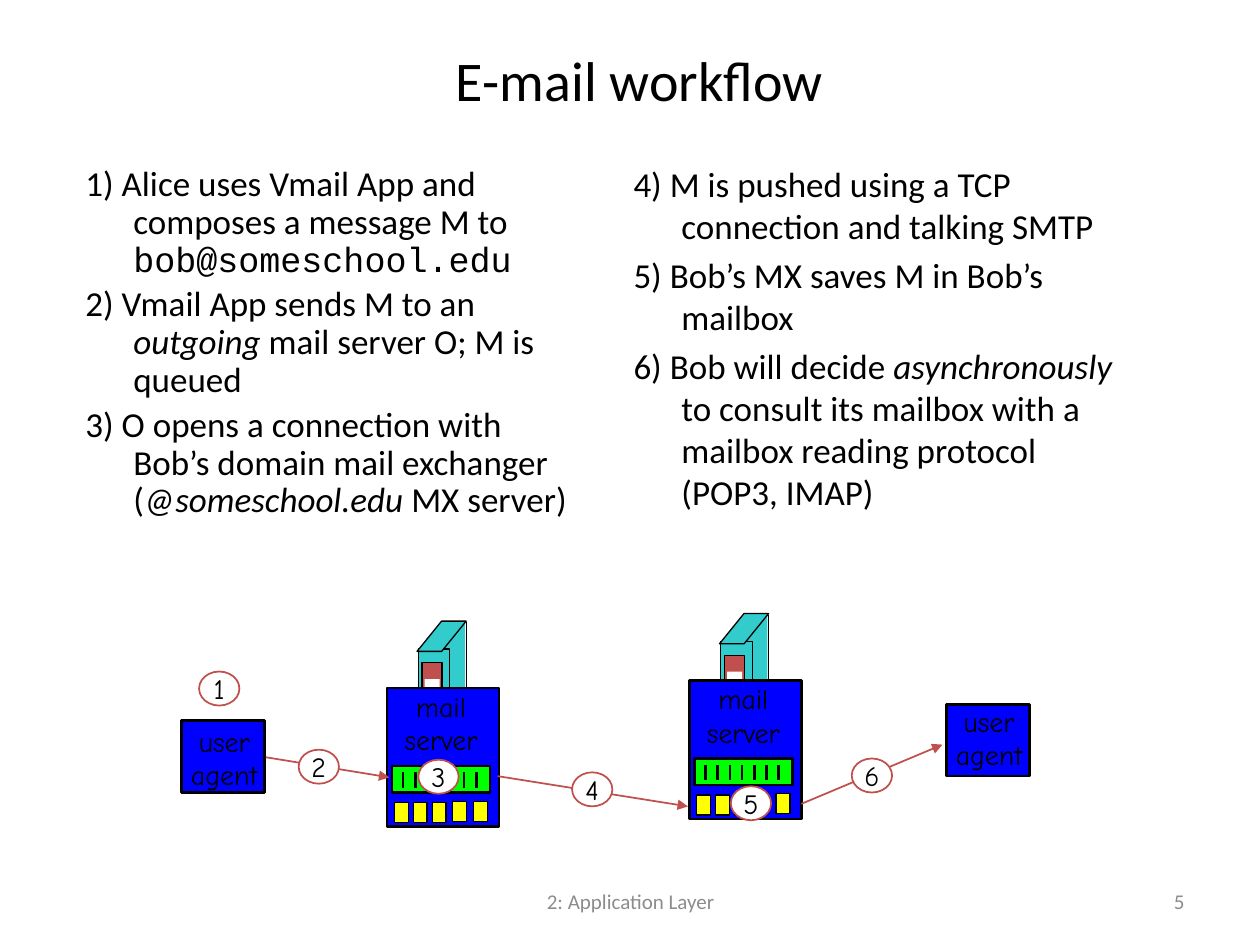
from lxml.etree import SubElement
from pptx import Presentation
from pptx.dml.color import RGBColor
from pptx.enum.shapes import MSO_CONNECTOR, MSO_SHAPE
from pptx.enum.text import MSO_ANCHOR, MSO_AUTO_SIZE, PP_ALIGN
from pptx.oxml.ns import qn
from pptx.util import Inches, Pt

THEME = {
    "black": "000000", "white": "FFFFFF", "grey": "8C8C8C", "blue": "0000FF",
    "teal": "33CCCC", "red": "C0504D", "green": "00FF00", "yellow": "FFFF00",
    "font": "Calibri", "code": "Courier New", "label": "Comic Neue",
    "title_size": 32, "body_size": 20, "label_size": 16, "footer_size": 12,
    "thin": 0.75, "arrow": 1, "thick": 1.5,
}

TITLE = "E-mail workflow"
# Each step is a list of (text, style) runs.
COLUMNS = [
    ((0.58, 1.27, 4.17, 3.52), 0.9, [
        [("1) Alice uses Vmail App and composes a message M to ", ""),
         ("bob@someschool.edu", "code")],
        [("2) Vmail App sends M to an ", ""), ("outgoing", "italic"),
         (" mail server O; M is queued", "")],
        [("3) O opens a connection with Bob’s domain mail exchanger (", ""),
         ("@someschool.edu ", "italic"), ("MX server)", "")],
    ]),
    ((4.93, 1.24, 4.17, 3.57), 1.0, [
        [("4) M is pushed using a TCP connection and talking SMTP", "")],
        [("5) Bob’s MX saves M in Bob’s mailbox", "")],
        [("6) Bob will decide ", ""), ("asynchronously ", "italic"),
         ("to consult its mailbox with a mailbox reading protocol (POP3, IMAP)", "")],
    ]),
]
FOOTERS = [
    ("2: Application Layer", (3.42, 6.95, 3.17, 0.4), PP_ALIGN.CENTER),
    ("5", (7.17, 6.95, 2.33, 0.4), PP_ALIGN.RIGHT),
]
# Agents: box corner, then the top of the label.
AGENTS = [((7.51, 5.59), 5.54), ((1.44, 5.72), 5.7)]
SERVERS = {"outgoing": (3.07, 5.46), "exchanger": (5.47, 5.4)}
BADGES = {"1": (1.58, 5.33), "2": (2.37, 5.95), "3": (3.32, 6.03),
          "4": (4.54, 6.13), "5": (5.8, 6.24), "6": (6.76, 6.02)}
HOPS = {"2": ((2.11, 6.01), (3.09, 6.17)),
        "4": ((3.95, 6.16), (5.46, 6.4)),
        "6": ((6.36, 6.38), (7.48, 5.91))}

# Server parts, relative to the corner of the blue cabinet.
TOWER = [
    (MSO_SHAPE.RECTANGLE, (0.44, -0.53, 0.18, 0.78), "teal", None),
    (MSO_SHAPE.RECTANGLE, (0.25, -0.31, 0.25, 0.78), "teal", "thin"),
    (MSO_SHAPE.PARALLELOGRAM, (0.24, -0.53, 0.39, 0.24), "teal", "thin"),
]
DOOR = [
    (MSO_SHAPE.RECTANGLE, (0.28, -0.2, 0.16, 0.45), "red", "thin"),
    (MSO_SHAPE.RECTANGLE, (0.3, -0.07, 0.12, 0.16), "white", None),
    (MSO_SHAPE.RECTANGLE, (0, 0, 0.89, 1.1), "blue", "thick"),
]
QUEUE = (0.04, 0.62, 0.78, 0.21)
SLOT_COUNT, SLOT_START, SLOT_SPAN = 7, 0.13, 0.58
MAILBOXES = [(0.06, 0.91), (0.21, 0.91), (0.36, 0.91), (0.52, 0.9), (0.69, 0.9)]


def color(name):
    return RGBColor.from_string(THEME[name])


def inches(values):
    return [Inches(v) for v in values]


def add_run(paragraph, text, size, font="font", ink="black", italic=False):
    run = paragraph.add_run()
    run.text = text
    run.font.size = Pt(THEME[size])
    run.font.name = THEME[font]
    run.font.color.rgb = color(ink)
    if italic:
        run.font.italic = True


def add_part(shapes, preset, box, fill, weight, edge="black"):
    part = shapes.add_shape(preset, *inches(box))
    part.shadow.inherit = False
    part.fill.solid()
    part.fill.fore_color.rgb = color(fill)
    if weight:
        part.line.color.rgb = color(edge)
        part.line.width = Pt(THEME[weight])
    else:
        part.line.fill.background()
    if preset == MSO_SHAPE.PARALLELOGRAM:
        part.adjustments[0] = 0.81
    return part


def add_line(shapes, start, end, weight, ink="black", arrow=False):
    line = shapes.add_connector(MSO_CONNECTOR.STRAIGHT, *inches(start + end))
    line.line.color.rgb = color(ink)
    line.line.width = Pt(THEME[weight])
    properties = line._element.spPr
    if arrow:
        SubElement(properties.find(qn("a:ln")), qn("a:tailEnd"), type="triangle")
    SubElement(properties, qn("a:effectLst"))


def add_label(shapes, box, words):
    """Two centred words, one above the other."""
    frame = shapes.add_textbox(*inches(box)).text_frame
    frame.word_wrap = False
    frame.auto_size = MSO_AUTO_SIZE.SHAPE_TO_FIT_TEXT
    for i, word in enumerate(words):
        paragraph = frame.add_paragraph() if i else frame.paragraphs[0]
        paragraph.alignment = PP_ALIGN.CENTER
        add_run(paragraph, word, "label_size", "label")


def add_column(shapes, box, line_spacing, steps):
    frame = shapes.add_textbox(*inches(box)).text_frame
    frame.word_wrap = True
    for i, step in enumerate(steps):
        paragraph = frame.add_paragraph() if i else frame.paragraphs[0]
        paragraph.line_spacing = line_spacing
        if i:
            paragraph.space_before = Pt(4)
        properties = paragraph._p.get_or_add_pPr()
        properties.set("marL", str(Inches(0.38)))
        properties.set("indent", str(Inches(-0.38)))
        for text, style in step:
            add_run(paragraph, text, "body_size",
                    "code" if style == "code" else "font", italic=style == "italic")


def add_footer(shapes, text, box, alignment):
    frame = shapes.add_textbox(*inches(box)).text_frame
    frame.word_wrap = True
    frame.vertical_anchor = MSO_ANCHOR.MIDDLE
    frame.paragraphs[0].alignment = alignment
    add_run(frame.paragraphs[0], text, "footer_size", ink="grey")


def add_agent(shapes, corner, label_top):
    group = shapes.add_group_shape().shapes
    add_part(group, MSO_SHAPE.RECTANGLE, corner + (0.66, 0.57), "blue", "thick")
    add_label(group, (corner[0] - 0.05, label_top, 0.78, 0.64), ["user", "agent"])


def add_server(shapes, x, y):
    group = shapes.add_group_shape().shapes

    def place(preset, box, fill, weight):
        dx, dy, width, height = box
        add_part(group, preset, (x + dx, y + dy, width, height), fill, weight)

    for part in TOWER:
        place(*part)
    add_line(group, (x + 0.63, y - 0.52), (x + 0.63, y + 0.25), "thin")
    for part in DOOR:
        place(*part)
    add_label(group, (x - 0.01, y - 0.04, 0.88, 0.64), ["mail", "server"])
    place(MSO_SHAPE.RECTANGLE, QUEUE, "green", "thick")
    for i in range(SLOT_COUNT):
        slot = x + SLOT_START + SLOT_SPAN * i / (SLOT_COUNT - 1)
        add_line(group, (slot, y + 0.67), (slot, y + 0.79), "thick")
    for corner in MAILBOXES:
        place(MSO_SHAPE.RECTANGLE, corner + (0.11, 0.16), "yellow", "thin")


def add_badge(shapes, number):
    """Numbered circle, with the hop it sits on, if any."""
    if number in HOPS:
        shapes = shapes.add_group_shape().shapes
        add_line(shapes, *HOPS[number], "arrow", "red", arrow=True)
    badge = add_part(shapes, MSO_SHAPE.OVAL, BADGES[number] + (0.32, 0.27),
                     "white", "arrow", "red")
    frame = badge.text_frame
    frame.word_wrap = False
    frame.vertical_anchor = MSO_ANCHOR.MIDDLE
    frame.paragraphs[0].alignment = PP_ALIGN.CENTER
    add_run(frame.paragraphs[0], number, "label_size", "label")


def main():
    deck = Presentation()
    deck.slide_width, deck.slide_height = inches((10, 7.5))
    slide = deck.slides.add_slide(deck.slide_layouts[5])
    shapes = slide.shapes

    title = shapes.title
    title.left, title.top, title.width, title.height = inches((0.57, 0, 9.01, 1.25))
    title.text_frame.vertical_anchor = MSO_ANCHOR.MIDDLE
    title.text_frame.paragraphs[0].alignment = PP_ALIGN.CENTER
    add_run(title.text_frame.paragraphs[0], TITLE, "title_size")

    for column in COLUMNS:
        add_column(shapes, *column)
    for footer in FOOTERS:
        add_footer(shapes, *footer)
    for agent in AGENTS:
        add_agent(shapes, *agent)
    for corner in SERVERS.values():
        add_server(shapes, *corner)
    for number in BADGES:
        add_badge(shapes, number)
    deck.save("out.pptx")


if __name__ == "__main__":
    main()
